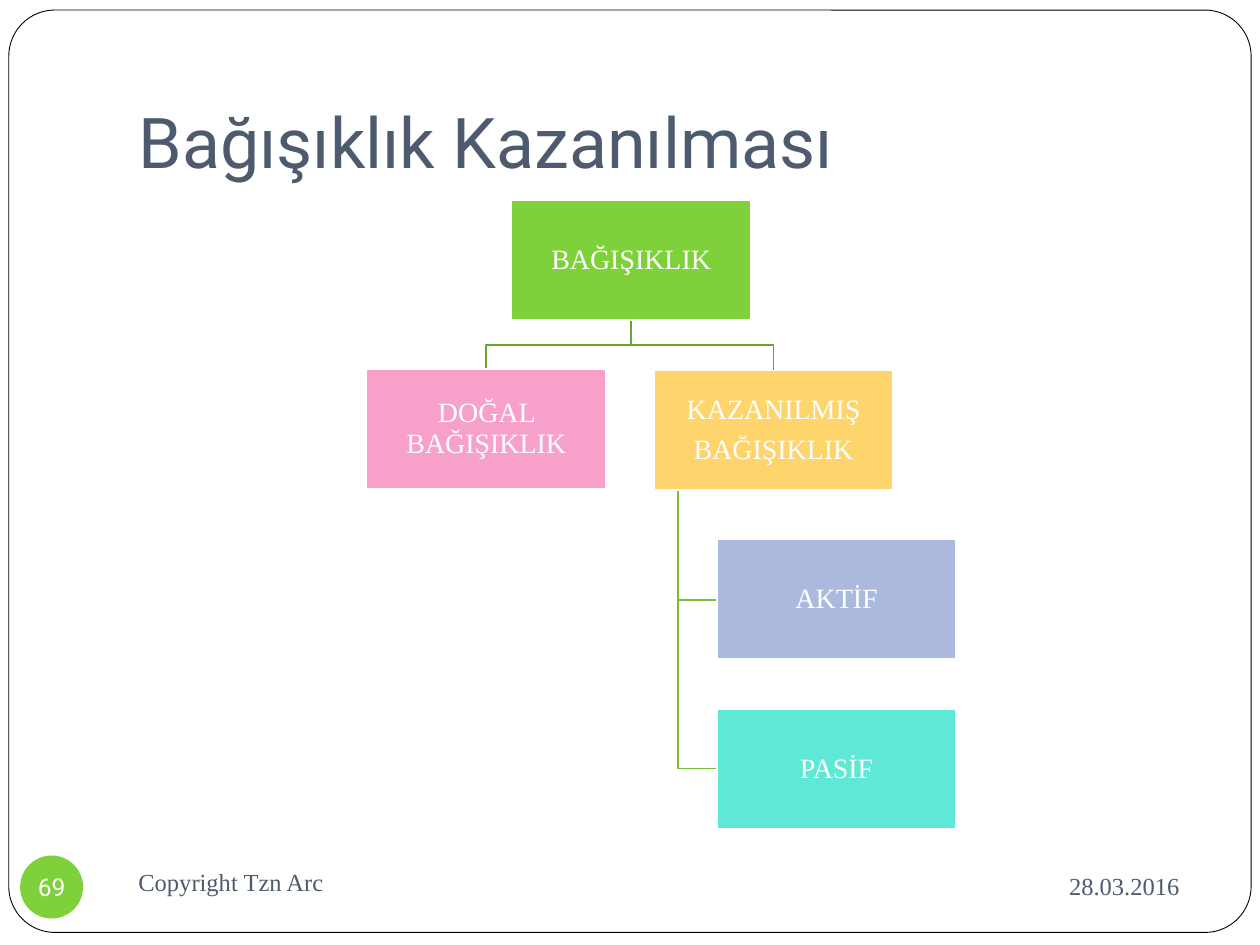
from pptx import Presentation
from pptx.dml.color import RGBColor
from pptx.enum.shapes import MSO_SHAPE
from pptx.enum.text import MSO_ANCHOR, MSO_AUTO_SIZE, PP_ALIGN
from pptx.util import Inches, Pt

WHITE = RGBColor(0xFF, 0xFF, 0xFF)
BLACK = RGBColor(0x00, 0x00, 0x00)
SLATE = RGBColor(0x4E, 0x5B, 0x6F)
GREEN = RGBColor(0x7F, 0xD1, 0x3B)
PINK = RGBColor(0xF7, 0xA1, 0xCA)
YELLOW = RGBColor(0xFE, 0xD4, 0x6C)
BLUE = RGBColor(0xAB, 0xB9, 0xDE)
TURQUOISE = RGBColor(0x5F, 0xE8, 0xD6)
DARK_GREEN = RGBColor(0x66, 0xA7, 0x2F)
MID_GREEN = RGBColor(0x73, 0xBE, 0x36)
SERIF, SANS = "Times New Roman", "Roboto"
BOX_W, BOX_H = 1.9, 0.95

prs = Presentation()
prs.slide_width, prs.slide_height = Inches(10), Inches(7.5)
s = prs.slides.add_slide(prs.slide_layouts[5])


def add_filled(kind, x, y, w, h, fill, line=None, width=1):
    sp = s.shapes.add_shape(kind, Inches(x), Inches(y), Inches(w), Inches(h))
    sp.shadow.inherit = False
    sp.fill.solid()
    sp.fill.fore_color.rgb = fill
    if line is None:
        sp.line.fill.background()
    else:
        sp.line.color.rgb = line
        sp.line.width = Pt(width)
    return sp


def write(tf, lines, size, font, color, align, margin=None):
    tf.vertical_anchor = MSO_ANCHOR.MIDDLE
    if margin is not None:
        tf.margin_left = tf.margin_right = Inches(margin)
        tf.margin_top = tf.margin_bottom = Inches(margin)
    tf.text = "\n".join(lines)
    for p in tf.paragraphs:
        p.alignment = align
        p.font.size = Pt(size)
        p.font.name = font
        p.font.color.rgb = color


# Frame, kept behind the title
frame = add_filled(MSO_SHAPE.ROUNDED_RECTANGLE, 0.07, 0.08, 9.86, 7.32, WHITE, BLACK, 0.5)
frame.adjustments[0] = 0.05
title = s.shapes.title
title.element.addprevious(frame.element)

title.left, title.top = Inches(1), Inches(0.3)
title.width, title.height = Inches(8.5), Inches(1.25)
tf = title.text_frame
write(tf, ["Bağışıklık Kazanılması"], 40, SANS, SLATE, PP_ALIGN.LEFT)
tf.vertical_anchor = MSO_ANCHOR.BOTTOM
tf.auto_size = MSO_AUTO_SIZE.NONE
tf.margin_bottom = Inches(0.1)

# Branches of the tree
branches = [
    ([(5.38, 3.89), (5.38, 6.1), (5.69, 6.1)], MID_GREEN),
    ([(5.38, 3.89), (5.38, 4.76), (5.69, 4.76)], MID_GREEN),
    ([(5.01, 2.54), (5.01, 2.74), (6.14, 2.74), (6.14, 2.94)], DARK_GREEN),
    ([(5.01, 2.54), (5.01, 2.74), (3.86, 2.74), (3.86, 2.93)], DARK_GREEN),
]
for points, color in branches:
    start, *rest = [(Inches(x), Inches(y)) for x, y in points]
    builder = s.shapes.build_freeform(*start)
    builder.add_line_segments(rest, close=False)
    sp = builder.convert_to_shape()
    sp.shadow.inherit = False
    sp.fill.background()
    sp.line.color.rgb = color
    sp.line.width = Pt(1)

# Boxes of the tree
boxes = [
    (4.06, 1.59, GREEN, ["BAĞIŞIKLIK"]),
    (2.91, 2.93, PINK, ["DOĞAL BAĞIŞIKLIK"]),
    (5.19, 2.94, YELLOW, ["KAZANILMIŞ", "BAĞIŞIKLIK"]),
    (5.69, 4.28, BLUE, ["AKTİF"]),
    (5.69, 5.63, TURQUOISE, ["PASİF"]),
]
for x, y, fill, lines in boxes:
    sp = add_filled(MSO_SHAPE.RECTANGLE, x, y, BOX_W, BOX_H, fill, WHITE)
    write(sp.text_frame, lines, 16, SERIF, WHITE, PP_ALIGN.CENTER, 0.01)
    for p in sp.text_frame.paragraphs:
        p.line_spacing = 0.9
        p.space_after = Pt(5.6)

# Footer
footers = [
    (6.75, 6.77, 2.71, 0.52, "28.03.2016", PP_ALIGN.RIGHT),
    (1, 6.75, 4.33, 0.5, "Copyright Tzn Arc", PP_ALIGN.LEFT),
]
for x, y, w, h, text, align in footers:
    tf = s.shapes.add_textbox(Inches(x), Inches(y), Inches(w), Inches(h)).text_frame
    tf.word_wrap = True
    write(tf, [text], 14, SERIF, SLATE, align)

badge = add_filled(MSO_SHAPE.OVAL, 0.16, 6.79, 0.5, 0.5, GREEN)
badge.text_frame.word_wrap = False
write(badge.text_frame, ["69"], 14, SANS, WHITE, PP_ALIGN.CENTER, 0)

prs.save("out.pptx")
